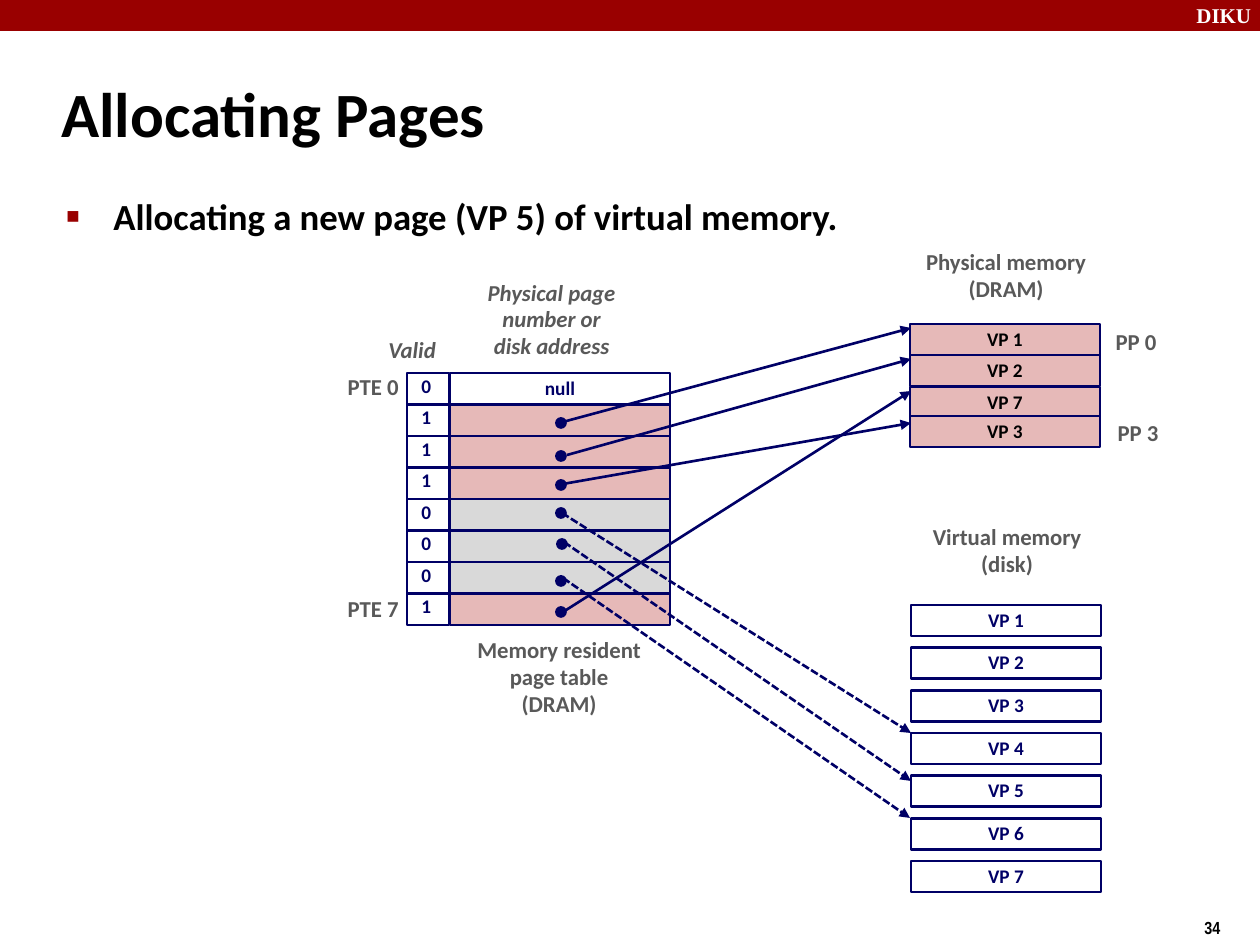
from lxml.etree import SubElement
from pptx import Presentation
from pptx.dml.color import RGBColor as RGB
from pptx.enum.dml import MSO_LINE as Dash
from pptx.enum.shapes import MSO_CONNECTOR as Link, MSO_SHAPE as Form
from pptx.enum.text import MSO_ANCHOR as Anchor, PP_ALIGN as Align
from pptx.oxml.ns import qn
from pptx.util import Emu, Pt

THEME = {
    "red": "990000", "navy": "000066", "pink": "E6B9B8", "gray": "D9D9D9",
    "white": "FFFFFF", "black": "000000", "dim": "595959",
    "face": "Calibri", "title": 36, "body": 21, "label": 13, "cell": 11,
    "brand": 12, "page": 10, "line": 1.5, "edge": 1, "lead": 0.98,
}

TITLE = "Allocating Pages"
POINT = "Allocating a new page (VP 5) of virtual memory."

# valid bit, fill, text of each page table entry
ENTRIES = [
    ("0", "white", "null"), ("1", "pink", ""), ("1", "pink", ""),
    ("1", "pink", ""), ("0", "gray", ""), ("0", "gray", ""),
    ("0", "gray", ""), ("1", "pink", ""),
]
# page name and top in physical memory
FRAMES = [("VP 1", 324), ("VP 2", 355), ("VP 7", 387), ("VP 3", 416)]
DISK = [f"VP {n}" for n in range(1, 8)]

# dot corner, arrow start, arrow end, dashed
POINTERS = [
    ((556, 418), (559, 423), (911, 328), False),
    ((556, 451), (567, 455), (911, 359), False),
    ((556, 480), (563, 484), (911, 423), False),
    ((556, 508), (562, 513), (911, 733), True),
    ((557, 539), (564, 542), (911, 781), True),
    ((556, 576), (563, 578), (910, 818), True),
    ((556, 607), (563, 612), (911, 391), False),
]
# lines, box, alignment, anchor, italic
LABELS = [
    (["Memory resident", "page table", "(DRAM)"], (446, 631, 226, 112), "CENTER", "TOP", False),
    (["Physical memory", "(DRAM)"], (895, 243, 222, 79), "CENTER", "TOP", False),
    (["Virtual memory", "(disk)"], (903, 518, 208, 79), "CENTER", "TOP", False),
    (["Valid"], (376, 331, 94, 47), "LEFT", "TOP", True),
    (["Physical page", "number or", "disk address"], (460, 264, 183, 112), "CENTER", "MIDDLE", True),
    (["PTE 0"], (324, 364, 87, 47), "RIGHT", "MIDDLE", False),
    (["PTE 7"], (324, 586, 87, 47), "RIGHT", "MIDDLE", False),
    (["PP 0"], (1098, 319, 76, 47), "CENTER", "MIDDLE", False),
    (["PP 3"], (1100, 410, 76, 47), "CENTER", "MIDDLE", False),
]

TABLE_TOP, PITCH, HIGH = 373, 31.5, 31
DISK_TOP, DISK_STEP = 605, 128 / 3
DOT = 10


def px(n):
    return Emu(round(n * 914400 / 126))


def tint(name):
    return RGB.from_string(THEME[name])


deck = Presentation()
deck.slide_width, deck.slide_height = px(1260), px(945)
slide = deck.slides.add_slide(deck.slide_layouts[6])
shapes = slide.shapes


def write(shape, lines, size, color, align="LEFT", anchor="TOP", lead=None,
          italic=False, face=None):
    frame = shape.text_frame
    for key, val in {"word_wrap": True, "vertical_anchor": Anchor[anchor],
                     "margin_left": Pt(7.2), "margin_right": Pt(7.2),
                     "margin_top": Pt(3.6), "margin_bottom": Pt(3.6)}.items():
        setattr(frame, key, val)
    for i, line in enumerate(lines):
        para = frame.add_paragraph() if i else frame.paragraphs[0]
        para.alignment = Align[align]
        if lead:
            para.line_spacing = lead
        run = para.add_run()
        run.text = line
        for key, val in {"size": Pt(THEME[size]), "name": face or THEME["face"],
                         "bold": True, "italic": italic}.items():
            setattr(run.font, key, val)
        run.font.color.rgb = tint(color)


def label(lines, box, size, color, **style):
    shape = shapes.add_textbox(*map(px, box))
    write(shape, lines, size, color, **style)
    return shape


def block(box, fill, form=Form.RECTANGLE, line="line"):
    shape = shapes.add_shape(form, *map(px, box))
    shape.shadow.inherit = False
    shape.fill.solid()
    shape.fill.fore_color.rgb = tint(fill)
    if line:
        shape.line.color.rgb = tint("navy")
        shape.line.width = Pt(THEME[line])
    else:
        shape.line.fill.background()
    return shape


def cell(box, fill, text, color):
    shape = block(box, fill)
    if text:
        write(shape, [text], "cell", color, "CENTER", "MIDDLE", THEME["lead"])


def arrow(start, end, dashed):
    link = shapes.add_connector(Link.STRAIGHT, *map(px, start + end))
    link.line.color.rgb = tint("navy")
    link.line.width = Pt(THEME["line"])
    if dashed:
        link.line.dash_style = Dash.SQUARE_DOT
    SubElement(link.line._get_or_add_ln(), qn("a:tailEnd"), type="triangle")
    SubElement(link._element.spPr, qn("a:effectLst"))


def bullet(para):
    props = para._p.get_or_add_pPr()
    props.set("marL", str(px(47)))
    props.set("indent", str(-px(47)))
    color = SubElement(props, qn("a:buClr"))
    SubElement(color, qn("a:srgbClr"), val=THEME["red"])
    SubElement(props, qn("a:buSzPct"), val="60000")
    SubElement(props, qn("a:buFont"), typeface="Arial")
    SubElement(props, qn("a:buChar"), char="■")


block((0, 0, 1260, 31), "red", line=None)
label(["DIKU"], (1184, -4, 84, 38), "brand", "white", face="Times New Roman")
label(["34"], (1192, 911, 94, 34), "page", "black", face="Arial Narrow")
label([TITLE], (49, 60, 1046, 105), "title", "black", anchor="MIDDLE")
body = label([POINT], (54, 188, 1087, 685), "body", "black")
bullet(body.text_frame.paragraphs[0])

for row, (bit, fill, text) in enumerate(ENTRIES):
    top = TABLE_TOP + row * PITCH
    cell((450, top, 220, PITCH), fill, text, "navy")
    block((407, top, 42, PITCH), "white")
    label([bit], (409, top - 4, 38, 42), "cell", "navy", lead=THEME["lead"])

for name, top in FRAMES:
    cell((910, top, 190, HIGH), "pink", name, "black")
for row, name in enumerate(DISK):
    cell((911, DISK_TOP + row * DISK_STEP, 190, HIGH), "white", name, "navy")

for lines, box, align, anchor, italic in LABELS:
    label(lines, box, "label", "dim", align=align, anchor=anchor,
          lead=THEME["lead"], italic=italic)

for corner, start, end, dashed in POINTERS:
    arrow(start, end, dashed)
    block(corner + (DOT, DOT), "navy", Form.OVAL, "edge")

deck.save("out.pptx")
